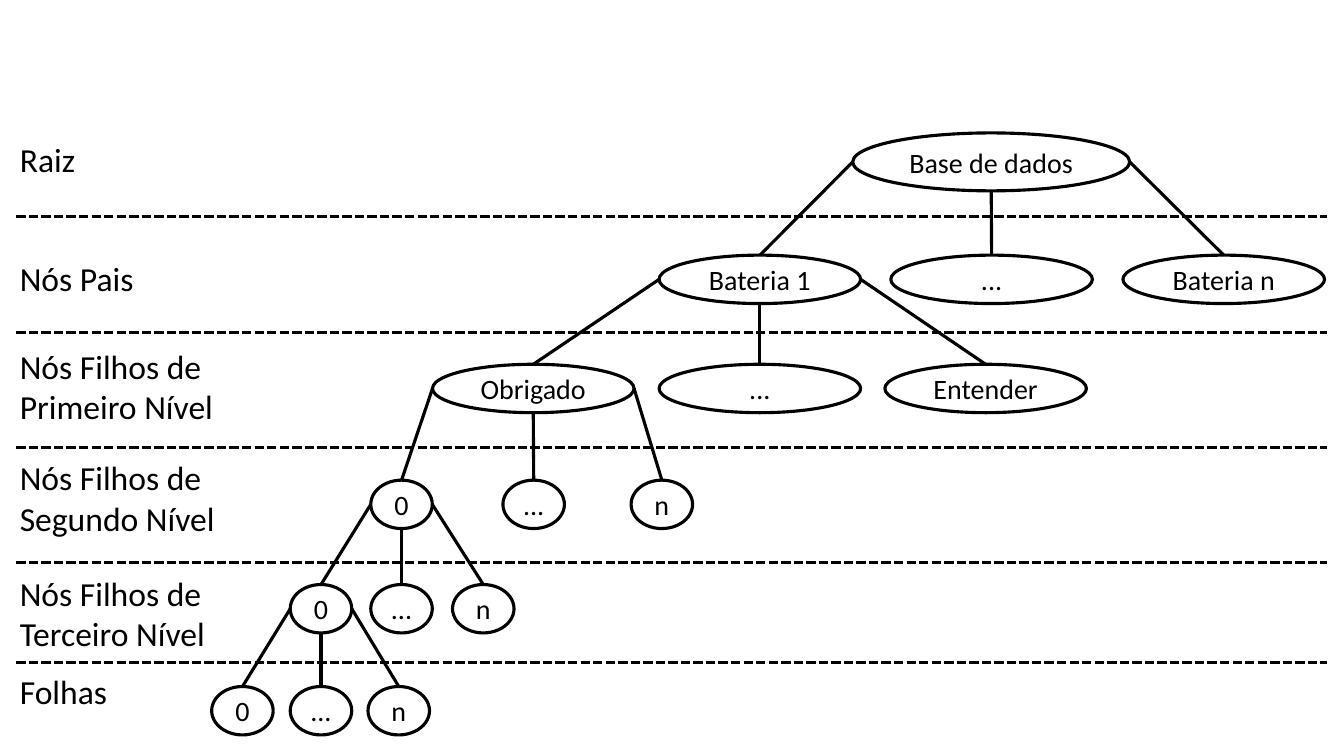
from dataclasses import dataclass

from lxml import etree
from pptx import Presentation
from pptx import util as u
from pptx.dml.color import RGBColor
from pptx.enum import dml, shapes, text
from pptx.oxml.ns import qn
from pptx.shapes.autoshape import Shape
from pptx.shapes.connector import Connector
from pptx.slide import Slide

BLACK = RGBColor(0x00, 0x00, 0x00)
WHITE = RGBColor(0xFF, 0xFF, 0xFF)
LINE_WIDTH = u.Pt(2.25)
NODE_FONT = {"name": "Calibri", "size": u.Pt(20)}
LABEL_FONT = {"name": "Calibri", "size": u.Pt(24)}
LABEL_LEFT, DIVIDER_LEFT, DIVIDER_RIGHT = 0.25, 0.41, 33.45


@dataclass(frozen=True)
class Node:
    text: str
    x: float


@dataclass(frozen=True)
class Level:
    """One band of the tree, in cm; its nodes hang from the first node above."""
    label: str
    label_top: float
    label_width: float
    node_y: float
    node_width: float
    node_height: float
    nodes: tuple[Node, ...]


LEVELS = (
    Level("Raiz", 3.38, 1.93, 4.08, 6.98, 1.46, (Node("Base de dados", 24.98),)),
    Level("Nós Pais", 6.38, 3.4, 7.04, 5.08, 1.22,
          (Node("Bateria 1", 19.15), Node("...", 24.99), Node("Bateria n", 30.84))),
    Level("Nós Filhos de\nPrimeiro Nível", 8.59, 5.44, 9.79, 5.08, 1.22,
          (Node("Obrigado", 13.44), Node("...", 19.15), Node("Entender", 24.84))),
    Level("Nós Filhos de\nSegundo Nível", 11.4, 5.44, 12.71, 1.55, 1.22,
          (Node("0", 10.12), Node("...", 13.45), Node("n", 16.68))),
    Level("Nós Filhos de\nTerceiro Nível", 14.3, 5.44, 15.34, 1.55, 1.22,
          (Node("0", 8.09), Node("...", 10.12), Node("n", 12.18))),
    Level("Folhas", 16.79, 2.74, 17.91, 1.55, 1.22,
          (Node("0", 6.11), Node("...", 8.09), Node("n", 10.05))),
)
DIVIDERS = (5.46, 8.38, 11.28, 14.17, 16.69)


def format_text(shape: Shape, content: str, font: dict, align: text.PP_ALIGN) -> None:
    tf = shape.text_frame
    tf.word_wrap = False
    tf.text = content
    for p in tf.paragraphs:
        p.alignment = align
        p.font.color.rgb = BLACK
        for name, value in font.items():
            setattr(p.font, name, value)


def add_line(s: Slide, x1: int, y1: int, x2: int, y2: int) -> Connector:
    line = s.shapes.add_connector(shapes.MSO_CONNECTOR.STRAIGHT, x1, y1, x2, y2)
    line.line.color.rgb = BLACK
    line.line.width = LINE_WIDTH
    etree.SubElement(line._element.spPr, qn("a:effectLst"))
    return line


def add_label(s: Slide, level: Level) -> None:
    height = 2.31 if "\n" in level.label else 1.27
    box = s.shapes.add_textbox(u.Cm(LABEL_LEFT), u.Cm(level.label_top),
                               u.Cm(level.label_width), u.Cm(height))
    format_text(box, level.label, LABEL_FONT, text.PP_ALIGN.LEFT)
    box.text_frame.auto_size = text.MSO_AUTO_SIZE.SHAPE_TO_FIT_TEXT


def add_node(s: Slide, level: Level, node: Node) -> Shape:
    sp = s.shapes.add_shape(
        shapes.MSO_SHAPE.OVAL,
        u.Cm(node.x - level.node_width / 2), u.Cm(level.node_y - level.node_height / 2),
        u.Cm(level.node_width), u.Cm(level.node_height))
    sp.shadow.inherit = False
    sp.fill.solid()
    sp.fill.fore_color.rgb = WHITE
    sp.line.color.rgb = BLACK
    sp.line.width = LINE_WIDTH
    format_text(sp, node.text, NODE_FONT, text.PP_ALIGN.CENTER)
    sp.text_frame.vertical_anchor = text.MSO_ANCHOR.MIDDLE
    return sp


def add_branches(s: Slide, parent: Shape, children: list[Shape]) -> None:
    """Link the parent's left, bottom and right points to the children's tops."""
    middle_x = parent.left + parent.width // 2
    middle_y = parent.top + parent.height // 2
    starts = ((parent.left, middle_y),
              (middle_x, parent.top + parent.height),
              (parent.left + parent.width, middle_y))
    for (x, y), child in zip(starts, children):
        branch = add_line(s, x, y, child.left + child.width // 2, child.top)
        branch.end_connect(child, 0)


def main() -> None:
    prs = Presentation()
    prs.slide_width, prs.slide_height = u.Cm(33.87), u.Cm(19.05)
    s = prs.slides.add_slide(prs.slide_layouts[6])

    for y in DIVIDERS:
        divider = add_line(s, u.Cm(DIVIDER_LEFT), u.Cm(y), u.Cm(DIVIDER_RIGHT), u.Cm(y))
        divider.line.dash_style = dml.MSO_LINE.SQUARE_DOT

    parent = None
    for level in LEVELS:
        add_label(s, level)
        children = [add_node(s, level, node) for node in level.nodes]
        if parent is not None:
            add_branches(s, parent, children)
        parent = children[0]

    prs.save("out.pptx")


if __name__ == "__main__":
    main()
